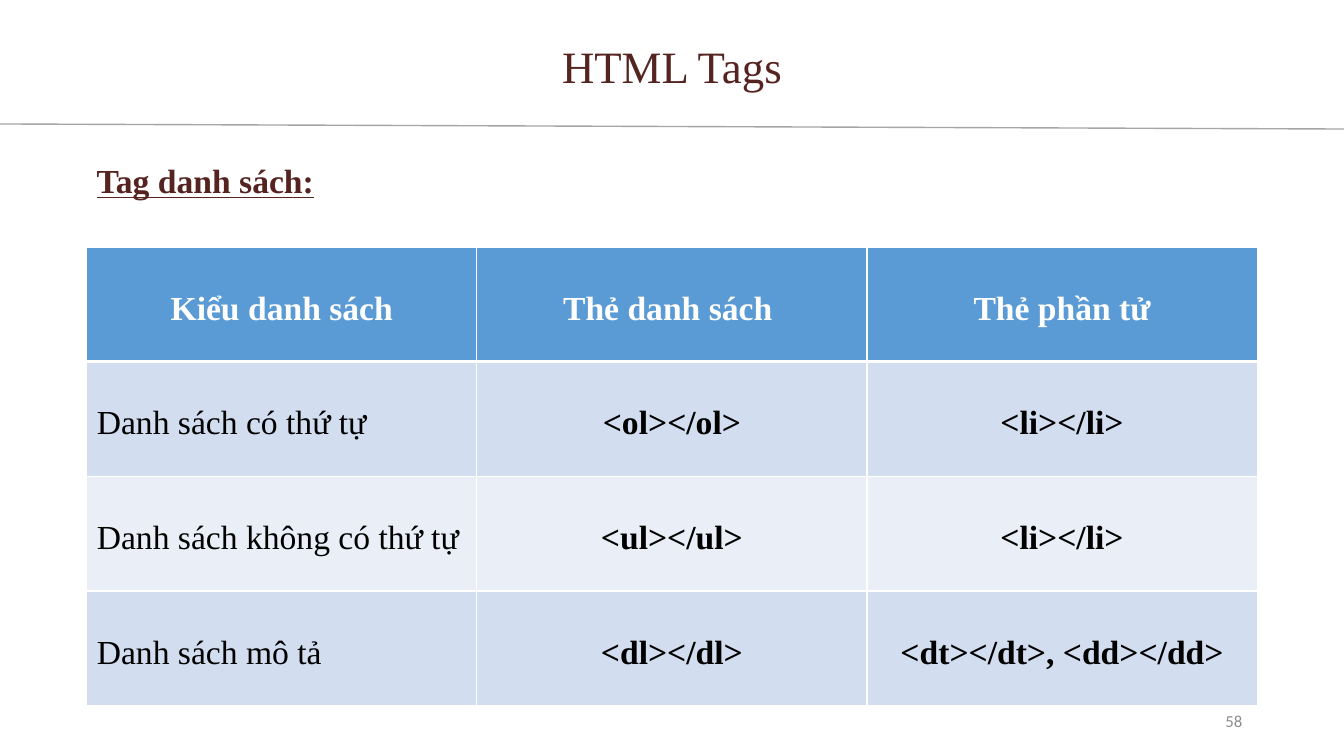
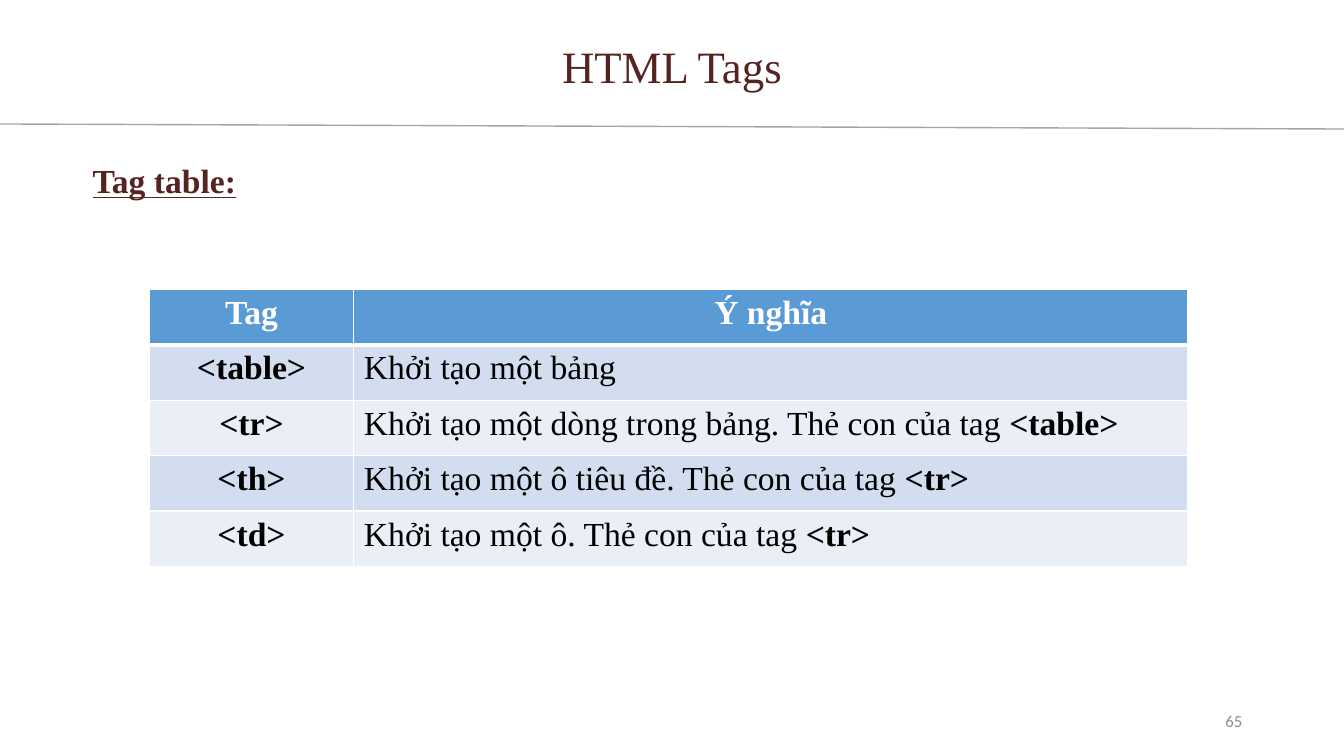
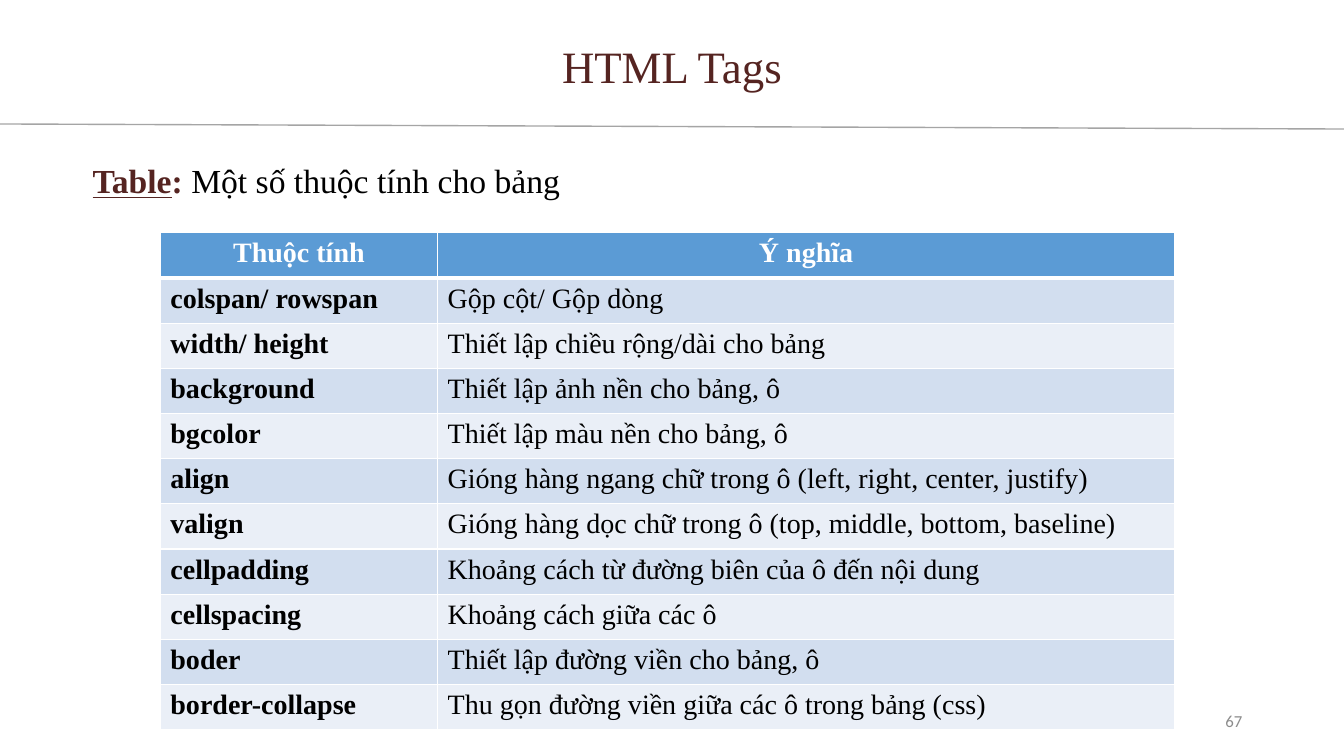
from dataclasses import dataclass

from lxml.etree import SubElement
from pptx import Presentation
from pptx.dml.color import RGBColor
from pptx.enum.shapes import MSO_CONNECTOR
from pptx.enum.text import MSO_ANCHOR as ANCHOR, MSO_AUTO_SIZE as FIT, PP_ALIGN as ALIGN
from pptx.oxml.ns import qn
from pptx.util import Inches, Pt


@dataclass(frozen=True)
class Theme:
    serif: str = "Times New Roman"
    sans: str = "Calibri"
    maroon: str = "552421"
    black: str = "000000"
    white: str = "FFFFFF"
    rule: str = "A5A5A5"
    number: str = "8C8C8C"
    header: str = "5B9BD5"
    bands: tuple = ("D2DEEF", "EAEFF7")
    title_size: int = 32
    body_size: int = 24
    dense_size: int = 20
    number_size: int = 12


@dataclass(frozen=True)
class Column:
    width: float
    bold: bool = False
    align: ALIGN = ALIGN.LEFT


T = Theme()
TITLE = "HTML Tags"


def add_run(p, text, size=T.body_size, color=T.black, font=T.serif,
            bold=False, underline=False, align=ALIGN.LEFT):
    p.alignment = align
    r = p.add_run()
    r.text = text
    r.font.size = Pt(size)
    r.font.name = font
    r.font.bold = bold
    r.font.underline = underline
    r.font.color.rgb = RGBColor.from_string(color)


def add_box(s, left, top, width, height, anchor=ANCHOR.TOP):
    sp = s.shapes.add_textbox(Inches(left), Inches(top), Inches(width), Inches(height))
    tf = sp.text_frame
    tf.word_wrap = True
    tf.vertical_anchor = anchor
    return tf.paragraphs[0]


def add_rule(s):
    line = s.shapes.add_connector(MSO_CONNECTOR.STRAIGHT, 0, Inches(1.23),
                                  Inches(13.33), Inches(1.28))
    line.line.color.rgb = RGBColor.from_string(T.rule)
    line.line.width = Pt(1)
    SubElement(line.element.spPr, qn("a:effectLst"))


def add_title(s):
    sp = s.shapes.title
    sp.left, sp.top, sp.width, sp.height = map(Inches, (4.41, 0.33, 4.51, 0.64))
    tf = sp.text_frame
    tf.auto_size = FIT.NONE
    tf.vertical_anchor = ANCHOR.TOP
    add_run(tf.paragraphs[0], TITLE, size=T.title_size, color=T.maroon, align=ALIGN.CENTER)


def new_slide(prs, number):
    s = prs.slides.add_slide(prs.slide_layouts[5])
    add_rule(s)
    add_title(s)
    p = add_box(s, 9.42, 6.95, 3, 0.4, anchor=ANCHOR.MIDDLE)
    add_run(p, number, size=T.number_size, color=T.number, font=T.sans, align=ALIGN.RIGHT)
    return s


def add_heading(s, left, label, tail="", note=""):
    p = add_box(s, left, 1.54, 11.61, 0.5)
    add_run(p, label, color=T.maroon, bold=True, underline=True)
    if tail:
        add_run(p, tail, color=T.maroon, bold=True)
    if note:
        add_run(p, note)


def set_borders(cell, top, bottom):
    tc_pr = cell._tc.get_or_add_tcPr()
    for side, width in (("L", 1), ("R", 1), ("T", top), ("B", bottom)):
        ln = SubElement(tc_pr, qn(f"a:ln{side}"), w=str(Pt(width)))
        fill = SubElement(ln, qn("a:solidFill"))
        SubElement(fill, qn("a:srgbClr"), val=T.white)


def fill_cell(cell, content, row, column, size):
    is_header = row == 0
    set_borders(cell, top=3 if row == 1 else 1, bottom=3 if is_header else 1)
    cell.fill.solid()
    color = T.header if is_header else T.bands[(row - 1) % 2]
    cell.fill.fore_color.rgb = RGBColor.from_string(color)
    p = cell.text_frame.paragraphs[0]
    if is_header:
        add_run(p, content, size=size, color=T.white, bold=True, align=ALIGN.CENTER)
        return
    text, *tags = [content] if isinstance(content, str) else content
    add_run(p, text, size=size, bold=column.bold, align=column.align)
    for tag in tags:
        add_run(p, tag, size=size, bold=True, align=column.align)


def add_table(s, left, top, height, columns, rows, size=T.body_size, pad_top=0.05):
    width = sum(c.width for c in columns)
    table = s.shapes.add_table(len(rows), len(columns), Inches(left), Inches(top),
                               Inches(width), Inches(height)).table
    for i, column in enumerate(columns):
        table.columns[i].width = Inches(column.width)
        for j, row in enumerate(rows):
            cell = table.cell(j, i)
            cell.margin_top = Inches(pad_top)
            fill_cell(cell, row[i], j, column, size)


def list_slide(prs):
    s = new_slide(prs, "58")
    tag_column = Column(3.87, bold=True, align=ALIGN.CENTER)
    add_table(s, 0.86, 2.45, 4.55, [Column(3.87), tag_column, tag_column], [
        ("Kiểu danh sách", "Thẻ danh sách ", "Thẻ phần tử"),
        ("Danh sách có thứ tự", "<ol></ol>", "<li></li>"),
        ("Danh sách không có thứ tự", "<ul></ul>", "<li></li>"),
        ("Danh sách mô tả", "<dl></dl>", "<dt></dt>, <dd></dd>"),
    ], pad_top=0.43)
    add_heading(s, 0.86, "Tag danh sách:")


def table_tag_slide(prs):
    s = new_slide(prs, "65")
    columns = [Column(2.03, bold=True, align=ALIGN.CENTER), Column(8.27)]
    add_table(s, 1.48, 2.87, 2.75, columns, [
        ("Tag", "Ý nghĩa"),
        ("<table>", "Khởi tạo một bảng"),
        ("<tr>", ("Khởi tạo một dòng trong bảng. Thẻ con của tag ", "<table>")),
        ("<th>", ("Khởi tạo một ô tiêu đề. Thẻ con của tag ", "<tr>")),
        ("<td>", ("Khởi tạo một ô. Thẻ con của tag ", "<tr>")),
    ])
    add_heading(s, 0.82, "Tag table:")


def attribute_slide(prs):
    s = new_slide(prs, "67")
    add_table(s, 1.59, 2.31, 4.93, [Column(2.75, bold=True), Column(7.31)], [
        ("Thuộc tính", "Ý nghĩa"),
        ("colspan/ rowspan", "Gộp cột/ Gộp dòng"),
        ("width/ height", "Thiết lập chiều rộng/dài cho bảng"),
        ("background", "Thiết lập ảnh nền cho bảng, ô"),
        ("bgcolor", "Thiết lập màu nền cho bảng, ô"),
        ("align", "Gióng hàng ngang chữ trong ô (left, right, center, justify)"),
        ("valign", "Gióng hàng dọc chữ trong ô (top, middle, bottom, baseline)"),
        ("cellpadding", "Khoảng cách từ đường biên của ô đến nội dung"),
        ("cellspacing", "Khoảng cách giữa các ô"),
        ("boder", "Thiết lập đường viền cho bảng, ô"),
        ("border-collapse", "Thu gọn đường viền giữa các ô trong bảng (css)"),
    ], size=T.dense_size)
    add_heading(s, 0.82, "Table", tail=": ", note="Một số thuộc tính cho bảng")


def main():
    prs = Presentation()
    prs.slide_width = Inches(13.33)
    prs.slide_height = Inches(7.5)
    list_slide(prs)
    table_tag_slide(prs)
    attribute_slide(prs)
    prs.save("out.pptx")


if __name__ == "__main__":
    main()
